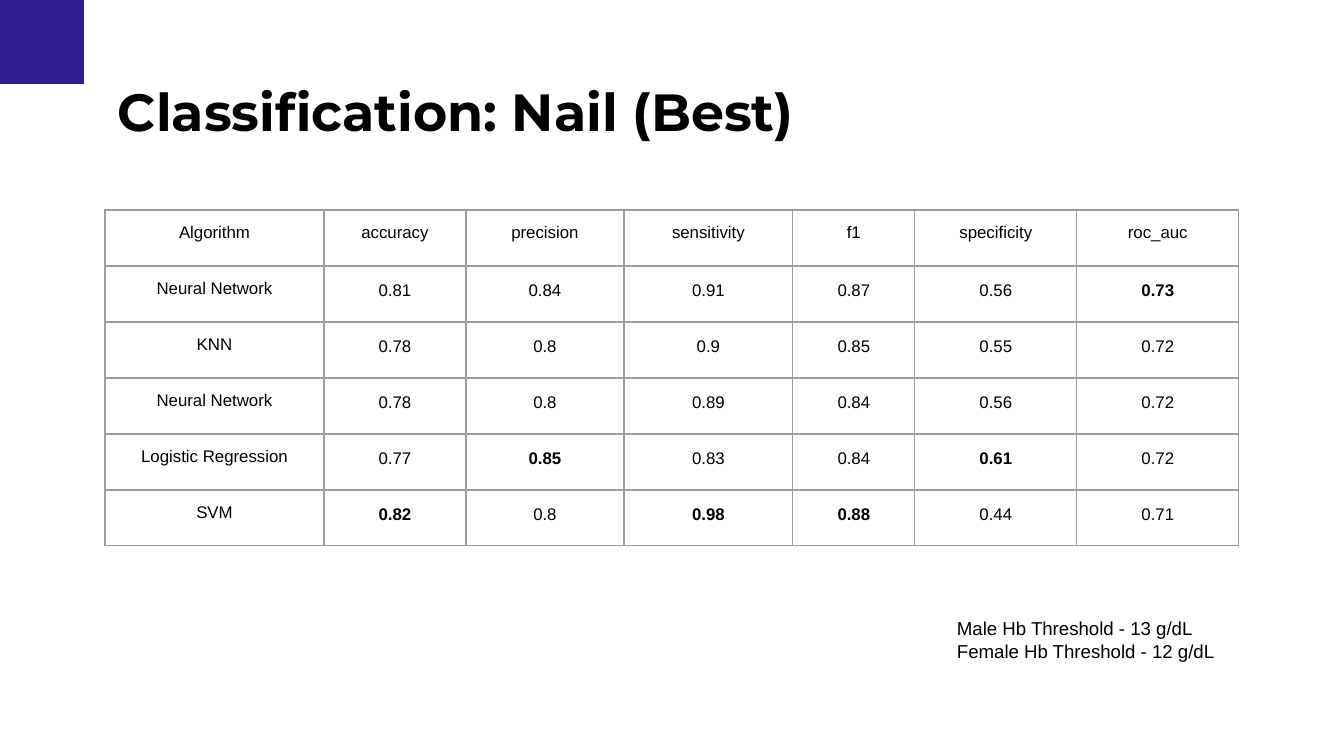
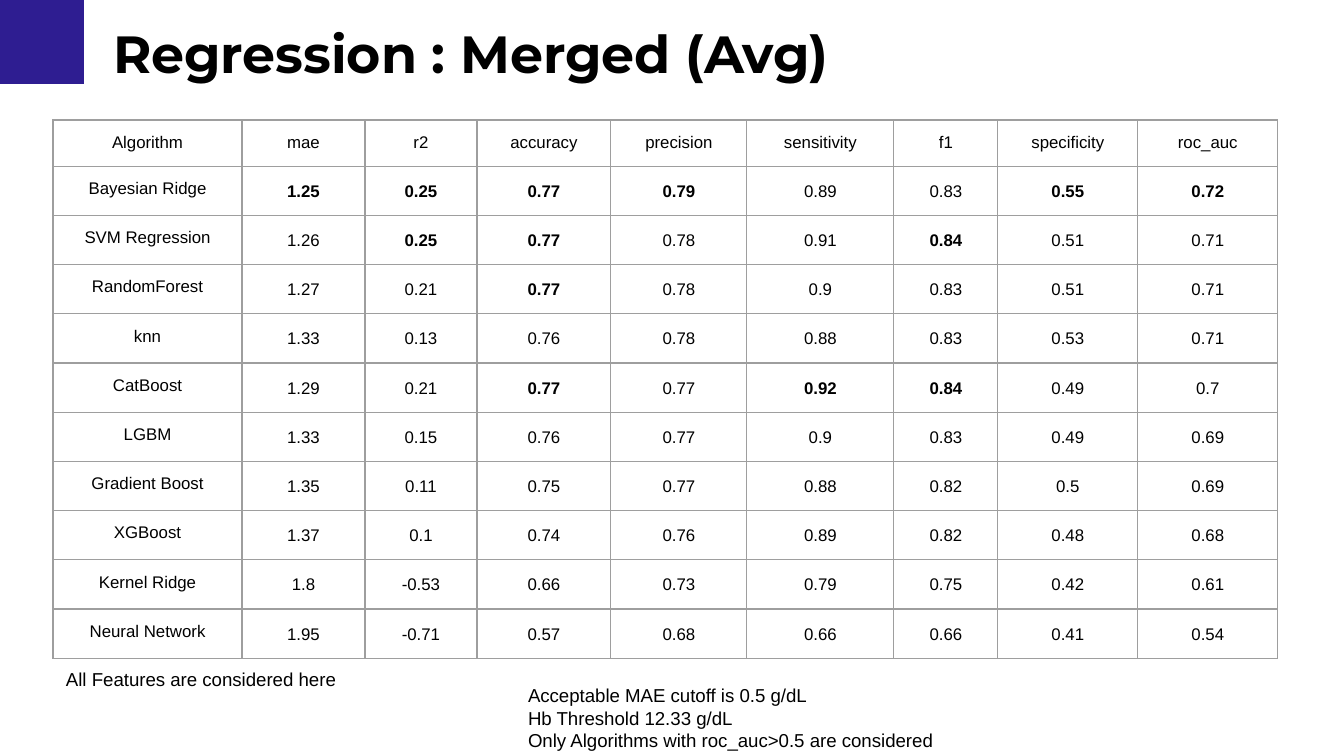
from lxml.etree import SubElement
from pptx import Presentation
from pptx.dml.color import RGBColor
from pptx.enum.shapes import MSO_SHAPE as Shape
from pptx.enum.text import MSO_ANCHOR as Anchor, MSO_AUTO_SIZE as AutoSize, PP_ALIGN as Align
from pptx.oxml.ns import qn
from pptx.util import Pt

INDIGO = RGBColor(0x2E, 0x1D, 0x91)
BLACK = RGBColor(0x00, 0x00, 0x00)
GRAY = RGBColor(0x9E, 0x9E, 0x9E)
TITLE_FONT = "Montserrat"
BODY_FONT = "Arial"
SCALE = 914400 / 134.4
INSET = 13
CORNER = 84
LOWER_IS_BETTER = {"mae"}


def px(length):
    return round(length * SCALE)


def best_values(header, rows):
    columns = list(zip(*rows))[1:]
    return [
        (min if name in LOWER_IS_BETTER else max)(column, key=float)
        for name, column in zip(header[1:], columns)
    ]


class ResultsDeck:
    def __init__(self, width, height):
        self.deck = Presentation()
        self.deck.slide_width = px(width)
        self.deck.slide_height = px(height)
        self.page = None

    def add_page(self, title, left, top):
        self.page = self.deck.slides.add_slide(self.deck.slide_layouts[5])
        self.corner()
        self.title(title, left, top)

    def corner(self):
        square = self.page.shapes.add_shape(Shape.RECTANGLE, 0, 0, px(CORNER), px(CORNER))
        square.shadow.inherit = False
        square.fill.solid()
        square.fill.fore_color.rgb = INDIGO
        square.line.fill.background()

    def title(self, text, left, top):
        box = self.page.shapes.title
        self.place(box, left, top, 1134, 90)
        self.fill_text(box.text_frame, text, TITLE_FONT, 28, bold=True)

    def note(self, lines, left, top, width, height):
        box = self.page.shapes.add_textbox(0, 0, 0, 0)
        self.place(box, left, top, width, height)
        self.fill_text(box.text_frame, "\n".join(lines), BODY_FONT, 10)

    def table(self, header, rows, left, top, widths, row_height):
        count = len(rows) + 1
        frame = self.page.shapes.add_table(
            count, len(header), px(left), px(top), px(sum(widths)), px(row_height * count)
        )
        table = frame.table
        table.first_row = table.horz_banding = False
        for column, width in zip(table.columns, widths):
            column.width = px(width)
        for row in table.rows:
            row.height = px(row_height)
        best = best_values(header, rows)
        for row_index, values in enumerate([header, *rows]):
            for column_index, value in enumerate(values):
                is_score = row_index > 0 and column_index > 0
                is_best = is_score and value == best[column_index - 1]
                self.cell(table.cell(row_index, column_index), value, is_score, is_best)

    def cell(self, cell, text, is_score, is_best):
        cell.margin_left = cell.margin_right = px(INSET)
        cell.margin_top = cell.margin_bottom = px(INSET)
        cell.vertical_anchor = Anchor.TOP
        cell.text_frame.text = text
        para = cell.text_frame.paragraphs[0]
        para.alignment = Align.CENTER
        if is_score:
            para.line_spacing = 1.15
        self.style(para, BODY_FONT, 9, is_best)
        self.borders(cell)
        cell.fill.background()

    def borders(self, cell):
        properties = cell._tc.get_or_add_tcPr()
        for side in ("a:lnL", "a:lnR", "a:lnT", "a:lnB"):
            line = SubElement(properties, qn(side), w=str(Pt(0.75)))
            fill = SubElement(line, qn("a:solidFill"))
            SubElement(fill, qn("a:srgbClr"), val=str(GRAY))

    def place(self, box, left, top, width, height):
        box.left, box.top = px(left), px(top)
        box.width, box.height = px(width), px(height)

    def fill_text(self, text_frame, text, font, size, bold=False):
        text_frame.word_wrap = True
        text_frame.auto_size = AutoSize.SHAPE_TO_FIT_TEXT
        text_frame.vertical_anchor = Anchor.TOP
        text_frame.margin_left = text_frame.margin_right = px(INSET)
        text_frame.margin_top = text_frame.margin_bottom = px(INSET)
        text_frame.text = text
        for para in text_frame.paragraphs:
            para.alignment = Align.LEFT
            self.style(para, font, size, bold)

    def style(self, para, font, size, bold):
        for span in para.runs:
            span.font.name = font
            span.font.size = Pt(size)
            span.font.bold = bold
            span.font.color.rgb = BLACK


METRICS = ["accuracy", "precision", "sensitivity", "f1", "specificity", "roc_auc"]

CLASSIFICATION_HEADER = ["Algorithm", *METRICS]
CLASSIFICATION_ROWS = [
    ["Neural Network", "0.81", "0.84", "0.91", "0.87", "0.56", "0.73"],
    ["KNN", "0.78", "0.8", "0.9", "0.85", "0.55", "0.72"],
    ["Neural Network", "0.78", "0.8", "0.89", "0.84", "0.56", "0.72"],
    ["Logistic Regression", "0.77", "0.85", "0.83", "0.84", "0.61", "0.72"],
    ["SVM", "0.82", "0.8", "0.98", "0.88", "0.44", "0.71"],
]

REGRESSION_HEADER = ["Algorithm", "mae", "r2", *METRICS]
REGRESSION_ROWS = [
    ["Bayesian Ridge", "1.25", "0.25", "0.77", "0.79", "0.89", "0.83", "0.55", "0.72"],
    ["SVM Regression", "1.26", "0.25", "0.77", "0.78", "0.91", "0.84", "0.51", "0.71"],
    ["RandomForest", "1.27", "0.21", "0.77", "0.78", "0.9", "0.83", "0.51", "0.71"],
    ["knn", "1.33", "0.13", "0.76", "0.78", "0.88", "0.83", "0.53", "0.71"],
    ["CatBoost", "1.29", "0.21", "0.77", "0.77", "0.92", "0.84", "0.49", "0.7"],
    ["LGBM", "1.33", "0.15", "0.76", "0.77", "0.9", "0.83", "0.49", "0.69"],
    ["Gradient Boost", "1.35", "0.11", "0.75", "0.77", "0.88", "0.82", "0.5", "0.69"],
    ["XGBoost", "1.37", "0.1", "0.74", "0.76", "0.89", "0.82", "0.48", "0.68"],
    ["Kernel Ridge", "1.8", "-0.53", "0.66", "0.73", "0.79", "0.75", "0.42", "0.61"],
    ["Neural Network", "1.95", "-0.71", "0.57", "0.68", "0.66", "0.66", "0.41", "0.54"],
]


def main():
    results = ResultsDeck(1344, 756)

    results.add_page("Classification: Nail (Best)", 105, 66)
    results.table(
        CLASSIFICATION_HEADER, CLASSIFICATION_ROWS, 105, 210,
        [219, 142, 158, 169, 122, 162, 162], 56,
    )
    results.note(
        ["Male Hb Threshold - 13 g/dL", "Female Hb Threshold - 12 g/dL"],
        944, 604, 296, 72,
    )

    results.add_page("Regression : Merged (Avg)", 100, 8)
    results.table(
        REGRESSION_HEADER, REGRESSION_ROWS, 53, 120,
        [189, 123, 112, 134, 136, 147, 104, 140, 140], 39,
    )
    results.note(
        [
            "Acceptable MAE cutoff is 0.5 g/dL",
            "Hb Threshold 12.33 g/dL",
            "Only Algorithms with roc_auc>0.5 are considered",
        ],
        515, 671, 448, 118,
    )
    results.note(["All Features are considered here"], 53, 657, 312, 50)

    results.deck.save("out.pptx")


if __name__ == "__main__":
    main()
